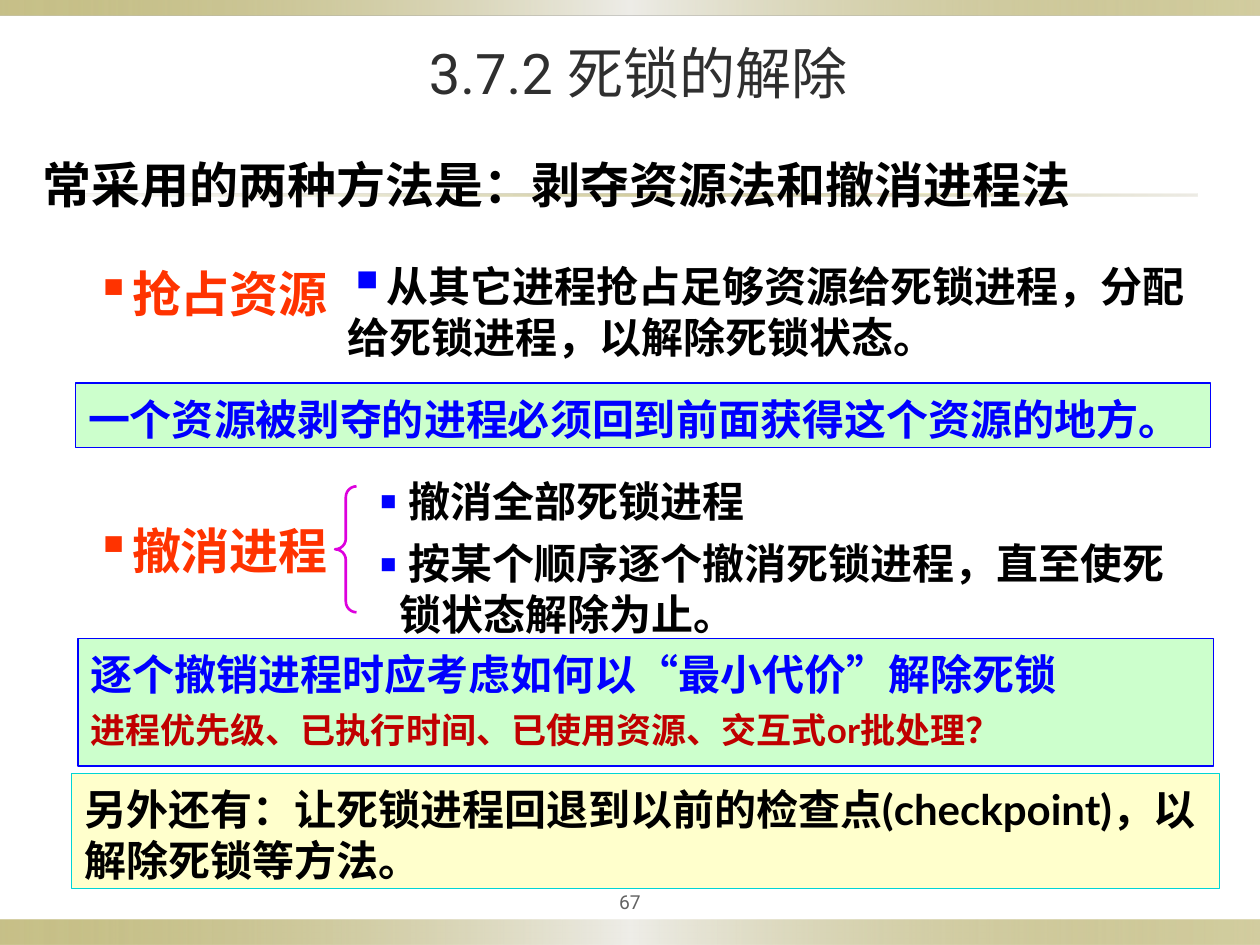
from lxml import etree
from pptx import Presentation
from pptx.dml.color import RGBColor
from pptx.enum import shapes, text
from pptx.oxml import ns
from pptx.util import Inches, Pt

CJK = "Noto Sans CJK SC"
BLACK, BLUE, RED = "000000", "0000FF", "FF3300"


def color(target, value):
    """Give a fill or a font the solid colour of a hex string."""
    if hasattr(target, "solid"):
        target.solid()
        target.fore_color.rgb = RGBColor.from_string(value)
    else:
        target.color.rgb = RGBColor.from_string(value)


def child(parent, tag, **attributes):
    """Append a DrawingML element."""
    return etree.SubElement(parent, ns.qn(tag), attributes)


def format_run(run, size, value, font=CJK, bold=True):
    """Set the size, colour and fonts of a run."""
    run.font.size, run.font.bold, run.font.name = Pt(size), bold, font
    color(run.font, value)
    child(run.font._element, "a:ea", typeface=CJK)


def format_paragraph(paragraph, size, value, font=CJK, before=0):
    """Set even line spacing and format the runs of a paragraph."""
    paragraph.line_spacing = Pt(size * 1.2)
    paragraph.space_before = Pt(before)
    for run in paragraph.runs:
        format_run(run, size, value, font)


def add_bullet(paragraph, value, percent=100, hang=0):
    """Put a square bullet before a paragraph."""
    props = paragraph._p.get_or_add_pPr()
    props.set("marL", str(Inches(hang)))
    props.set("indent", str(-Inches(hang)))
    bullet_color = child(props, "a:buClr")
    child(bullet_color, "a:srgbClr", val=value)
    child(props, "a:buSzPct", val=str(percent * 1000))
    child(props, "a:buChar", char="▪")


def prepare_frame(frame):
    """Wrap the text from the top of its box."""
    frame.word_wrap = True
    frame.auto_size = text.MSO_AUTO_SIZE.NONE
    frame.vertical_anchor = text.MSO_ANCHOR.TOP
    frame.margin_top = Inches(0.08)
    frame.margin_bottom = Inches(0.02)


def place(shape, box):
    """Move a shape to a box in inches."""
    shape.left, shape.top, shape.width, shape.height = map(Inches, box)


def add_band(slide, box, stops):
    """Draw a bar with a horizontal gradient of (place, colour, opacity)."""
    band = slide.shapes.add_shape(shapes.MSO_SHAPE.RECTANGLE, *map(Inches, box))
    band.shadow.inherit = False
    band.line.fill.background()
    band.fill.gradient()
    band.fill.gradient_angle = 0
    stop_list = band._element.spPr.find(ns.qn("a:gradFill")).find(ns.qn("a:gsLst"))
    for old_stop in list(stop_list):
        stop_list.remove(old_stop)
    for position, value, opacity in stops:
        stop = child(stop_list, "a:gs", pos=str(position * 1000))
        stop_color = child(stop, "a:srgbClr", val=value)
        child(stop_color, "a:alpha", val=str(opacity * 1000))


def add_frame_bands(slide):
    """Draw the bars at the slide edges and the rule below the title."""
    edge = [(0, "918415", 50), (50, "EEEDE8", 100), (100, "918415", 40)]
    rule = [(0, "DCD9CC", 20), (50, "918415", 40), (100, "DCD9CC", 50)]
    add_band(slide, (0, 7.3, 10, 0.2), edge)
    add_band(slide, (0, 0, 10, 0.12), edge)
    add_band(slide, (0.5, 1.54, 9, 0.02), rule)


def fill_title(title, box):
    """Write the section number and heading."""
    place(title, box)
    title.text_frame.text = "3.7.2 死锁的解除"
    title.text_frame.vertical_anchor = text.MSO_ANCHOR.MIDDLE
    heading = title.text_frame.paragraphs[0]
    heading.alignment = text.PP_ALIGN.CENTER
    format_run(heading.runs[0], 32, "2F2F2F", "Roboto", False)


def fill_kill_options(body, box):
    """List the ways to end deadlocked processes."""
    place(body, box)
    prepare_frame(body.text_frame)
    body.text_frame.text = ("撤消全部死锁进程\n"
                            "按某个顺序逐个撤消死锁进程，直至使死\n"
                            "锁状态解除为止。")
    first, second, rest = body.text_frame.paragraphs
    for option, before in ((first, 0), (second, 7), (rest, 0)):
        format_paragraph(option, 24, BLACK, before=before)
    for option in (first, second):
        add_bullet(option, BLUE, 125, 0.23)
    props = rest._p.get_or_add_pPr()
    props.set("marL", str(Inches(0.16)))
    props.set("indent", "0")
    child(props, "a:buNone")


def add_statement(slide, box, words, size, value, bullet=None, percent=100):
    """Add bold text, with a bullet of the given colour if there is one."""
    statement = slide.shapes.add_textbox(*map(Inches, box)).text_frame
    prepare_frame(statement)
    statement.text = words
    format_paragraph(statement.paragraphs[0], size, value)
    if bullet:
        add_bullet(statement.paragraphs[0], bullet, percent)


def add_note(slide, box, fill, outline, lines):
    """Add a framed note of (words, size, colour) lines."""
    note = slide.shapes.add_shape(shapes.MSO_SHAPE.RECTANGLE, *map(Inches, box))
    note.shadow.inherit = False
    color(note.fill, fill)
    color(note.line.fill, outline)
    note.line.width = Pt(0.75)
    prepare_frame(note.text_frame)
    note.text_frame.text = "\n".join(words for words, _, _ in lines)
    for index, (_, size, value) in enumerate(lines):
        paragraph = note.text_frame.paragraphs[index]
        paragraph.alignment = text.PP_ALIGN.LEFT
        format_paragraph(paragraph, size, value, "Lato", 5.5 if index else 0)


def add_brace(slide, box):
    """Draw the brace that gathers the options."""
    brace = slide.shapes.add_shape(shapes.MSO_SHAPE.LEFT_BRACE, *map(Inches, box))
    brace.shadow.inherit = False
    brace.fill.background()
    color(brace.line.fill, "DD00DD")
    brace.line.width = Pt(1.5)
    brace.adjustments[0] = 0.5


def add_page_number(slide, box):
    """Write the page number at the foot."""
    number = slide.shapes.add_textbox(*map(Inches, box)).text_frame
    number.text = "67"
    number.word_wrap = True
    number.vertical_anchor = text.MSO_ANCHOR.MIDDLE
    number.paragraphs[0].alignment = text.PP_ALIGN.CENTER
    format_run(number.paragraphs[0].runs[0], 11, "636363", "Roboto", False)


def build_deadlock_slide(deck):
    """Build the slide on recovering from deadlock."""
    slide = deck.slides.add_slide(deck.slide_layouts[1])
    add_frame_bands(slide)
    fill_title(slide.shapes.title, (0.54, 0.2, 9.05, 0.75))
    add_statement(slide, (0.24, 1.15, 9.45, 0.57),
                  "常采用的两种方法是：剥夺资源法和撤消进程法", 28, BLACK)
    for top, method in ((2.01, "抢占资源"), (4.05, "撤消进程")):
        add_statement(slide, (0.66, top, 2.2, 0.57), method, 28, RED, RED)
    add_statement(slide, (2.66, 1.99, 6.85, 0.91),
                  "从其它进程抢占足够资源给死锁进程，分配给死锁进程，以解除死锁状态。",
                  24, BLACK, BLUE, 125)
    fill_kill_options(slide.placeholders[1], (2.91, 3.69, 6.9, 1.4))
    add_brace(slide, (2.66, 3.86, 0.17, 1))
    add_note(slide, (0.6, 3.04, 9.01, 0.51), "CCFFCC", BLUE,
             [("一个资源被剥夺的进程必须回到前面获得这个资源的地方。", 24, BLUE)])
    add_note(slide, (0.57, 6.14, 9.11, 0.91), "FFFFCC", "00D5D5",
             [("另外还有：让死锁进程回退到以前的检查点(checkpoint)，以解除死锁等方法。",
               24, BLACK)])
    add_note(slide, (0.62, 5.07, 9.01, 1.01), "CCFFCC", BLUE,
             [("逐个撤销进程时应考虑如何以“最小代价”解除死锁", 24, BLUE),
              ("进程优先级、已执行时间、已使用资源、交互式or批处理？", 20, "C00000")])
    add_page_number(slide, (4.5, 7, 1, 0.31))


deck = Presentation()
deck.slide_width, deck.slide_height = Inches(10), Inches(7.5)
build_deadlock_slide(deck)
deck.save("out.pptx")
